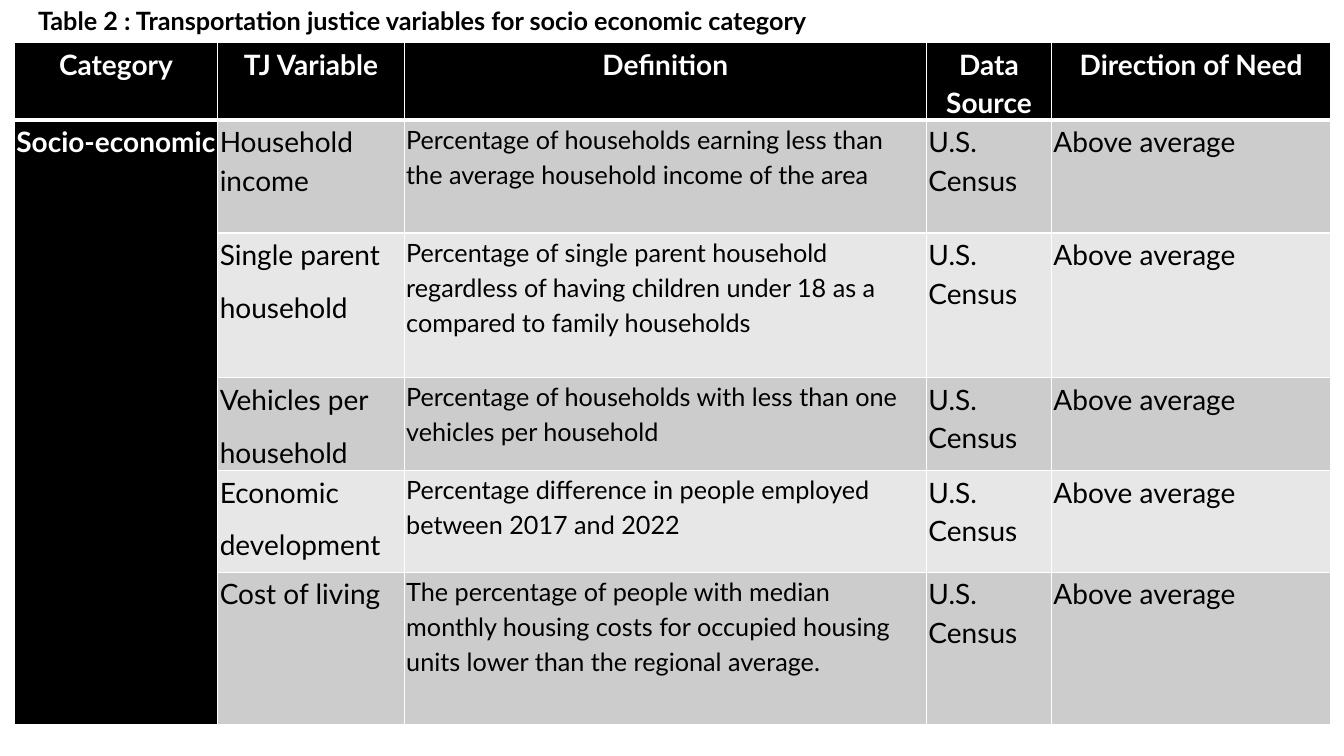
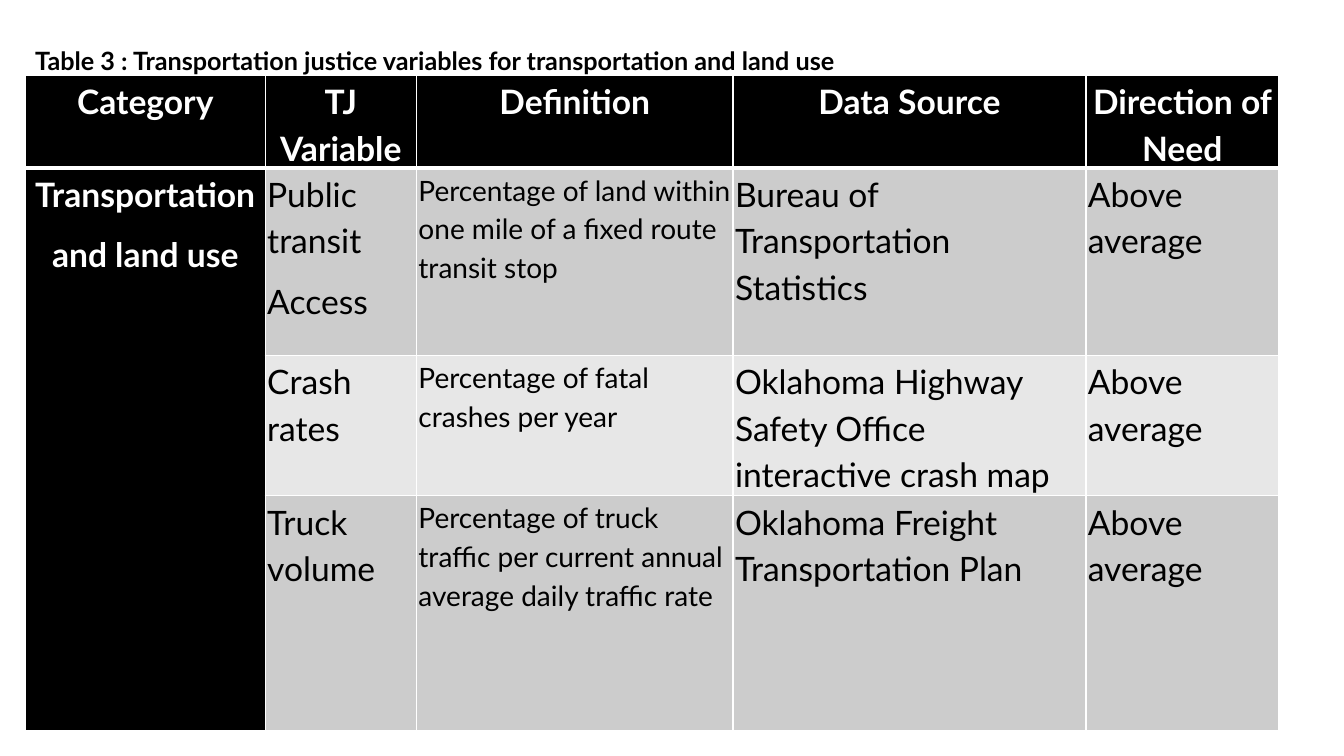
from dataclasses import dataclass

from lxml.etree import SubElement
from pptx import Presentation
from pptx.dml.color import RGBColor
from pptx.enum.text import MSO_AUTO_SIZE as AutoSize, PP_ALIGN as Align
from pptx.oxml.ns import qn
from pptx.util import Inches, Pt

FONT = "Lato"
BLACK, WHITE = "000000", "FFFFFF"
BANDS = ("CCCCCC", "E7E7E7")
CAPTION_SIZE = 18
THIN, THICK = 1, 3
DEFINITION_COLUMN = 2
HEADERS = ("Category", "TJ Variable", "Definition", "Data Source", "Direction of Need")
NEED = "Above average"
CENSUS = "U.S. Census"


@dataclass
class VariableSlide:
    """Content and layout of one slide, with boxes in percent of the slide."""

    caption: str
    caption_box: tuple
    table_box: tuple
    columns: tuple
    rows: tuple
    size: int
    definition_size: int
    body_align: Align
    category: str
    variables: tuple


SLIDES = (
    VariableSlide(
        caption="Table 2 : Transportation justice variables for socio economic category",
        caption_box=(2.1, 0, 65.12, 9.47),
        table_box=(1.05, 5.6, 97.97, 89.87),
        columns=(2.02, 1.85, 5.18, 1.24, 2.77),
        rows=(0.74, 1.12, 1.43, 0.92, 1.01, 1.51),
        size=20,
        definition_size=18,
        body_align=Align.JUSTIFY,
        category="Socio-economic",
        variables=(
            ("Household income",
             "Percentage of households earning less than the average household "
             "income of the area", CENSUS),
            ("Single parent\nhousehold",
             "Percentage of single parent household regardless of having children "
             "under 18 as a compared to family households", CENSUS),
            ("Vehicles per\nhousehold",
             "Percentage of households with less than one vehicles per household",
             CENSUS),
            ("Economic\ndevelopment",
             "Percentage difference in people employed between 2017 and 2022", CENSUS),
            ("Cost of living",
             "The percentage of people with median monthly housing costs for occupied "
             "housing units lower than the regional average.", CENSUS),
        ),
    ),
    VariableSlide(
        caption="Table 3 : Transportation justice variables for transportation and land use",
        caption_box=(1.88, 5.33, 67.97, 9.47),
        table_box=(1.88, 10, 93.25, 86.67),
        columns=(2.38, 1.5, 3.14, 3.5, 1.91),
        rows=(0.92, 1.86, 1.39, 2.33),
        size=24,
        definition_size=20,
        body_align=Align.LEFT,
        category="Transportation\nand land use",
        variables=(
            ("Public transit\nAccess",
             "Percentage of land within one mile of a fixed route transit stop",
             "Bureau of Transportation Statistics"),
            ("Crash rates", "Percentage of fatal crashes per year",
             "Oklahoma Highway Safety Office interactive crash map"),
            ("Truck volume",
             "Percentage of truck traffic per current annual average daily traffic rate",
             "Oklahoma Freight Transportation Plan"),
        ),
    ),
)


def color(value):
    """Turn a hex string into a colour."""
    return RGBColor.from_string(value)


def place(presentation, box):
    """Turn percent shares of the slide into lengths."""
    width, height = presentation.slide_width, presentation.slide_height
    return [round(share * whole / 100)
            for share, whole in zip(box, (width, height, width, height))]


def add_run(paragraph, text, size, ink, bold):
    """Add one styled run to a paragraph."""
    run = paragraph.add_run()
    run.text = text
    run.font.name, run.font.size, run.font.bold = FONT, Pt(size), bold
    run.font.color.rgb = color(ink)


def add_caption(slide, box, text):
    """Write the caption above the table."""
    frame = slide.shapes.add_textbox(*box).text_frame
    frame.word_wrap = True
    frame.auto_size = AutoSize.SHAPE_TO_FIT_TEXT
    add_run(frame.paragraphs[0], text, CAPTION_SIZE, BLACK, True)


def set_borders(cell, top, bottom):
    """Draw white borders, with the given top and bottom widths in points."""
    properties = cell._tc.get_or_add_tcPr()
    for side, points in (("L", THIN), ("R", THIN), ("T", top), ("B", bottom)):
        line = SubElement(properties, qn(f"a:ln{side}"), w=str(Pt(points)))
        fill = SubElement(line, qn("a:solidFill"))
        SubElement(fill, qn("a:srgbClr"), val=WHITE)


def fill_cell(cell, text, size, align, background, strong):
    """Fill a cell and write each line of its text as a paragraph."""
    cell.fill.solid()
    cell.fill.fore_color.rgb = color(background)
    cell.margin_left = cell.margin_right = Inches(0.02)
    cell.margin_top = cell.margin_bottom = 0
    frame = cell.text_frame
    for index, line in enumerate(text.split("\n")):
        paragraph = frame.add_paragraph() if index else frame.paragraphs[0]
        paragraph.alignment = align
        paragraph.line_spacing = 1.15
        paragraph.space_after = Pt(10)
        add_run(paragraph, line, size, WHITE if strong else BLACK, strong)


def add_variable_table(slide, box, content):
    """Build the table of variables, with its category merged down the first column."""
    left, top, width, height = box
    table = slide.shapes.add_table(
        len(content.rows), len(content.columns), left, top, width, height).table
    table.horz_banding = False
    for column, weight in zip(table.columns, content.columns):
        column.width = round(width * weight / sum(content.columns))
    for row, weight in zip(table.rows, content.rows):
        row.height = round(height * weight / sum(content.rows))

    body = [("", *variable, NEED) for variable in content.variables]
    body[0] = (content.category, *body[0][1:])
    for row, texts in enumerate([HEADERS, *body]):
        for column, text in enumerate(texts):
            cell = table.cell(row, column)
            strong = row == 0 or column == 0
            small = not strong and column == DEFINITION_COLUMN
            if small:
                align = Align.LEFT
            else:
                align = Align.CENTER if strong else content.body_align
            set_borders(cell, THICK if row == 1 else THIN, THICK if row == 0 else THIN)
            fill_cell(cell, text, content.definition_size if small else content.size,
                      align, BLACK if strong else BANDS[(row - 1) % 2], strong)
    table.cell(1, 0).merge(table.cell(len(body), 0))


def add_variable_slide(presentation, content):
    """Add one slide with a table and its caption."""
    slide = presentation.slides.add_slide(presentation.slide_layouts[6])
    add_variable_table(slide, place(presentation, content.table_box), content)
    add_caption(slide, place(presentation, content.caption_box), content.caption)


def main():
    """Build and save the presentation."""
    presentation = Presentation()
    presentation.slide_width, presentation.slide_height = Inches(13.33), Inches(7.5)
    for content in SLIDES:
        add_variable_slide(presentation, content)
    presentation.save("out.pptx")


if __name__ == "__main__":
    main()
